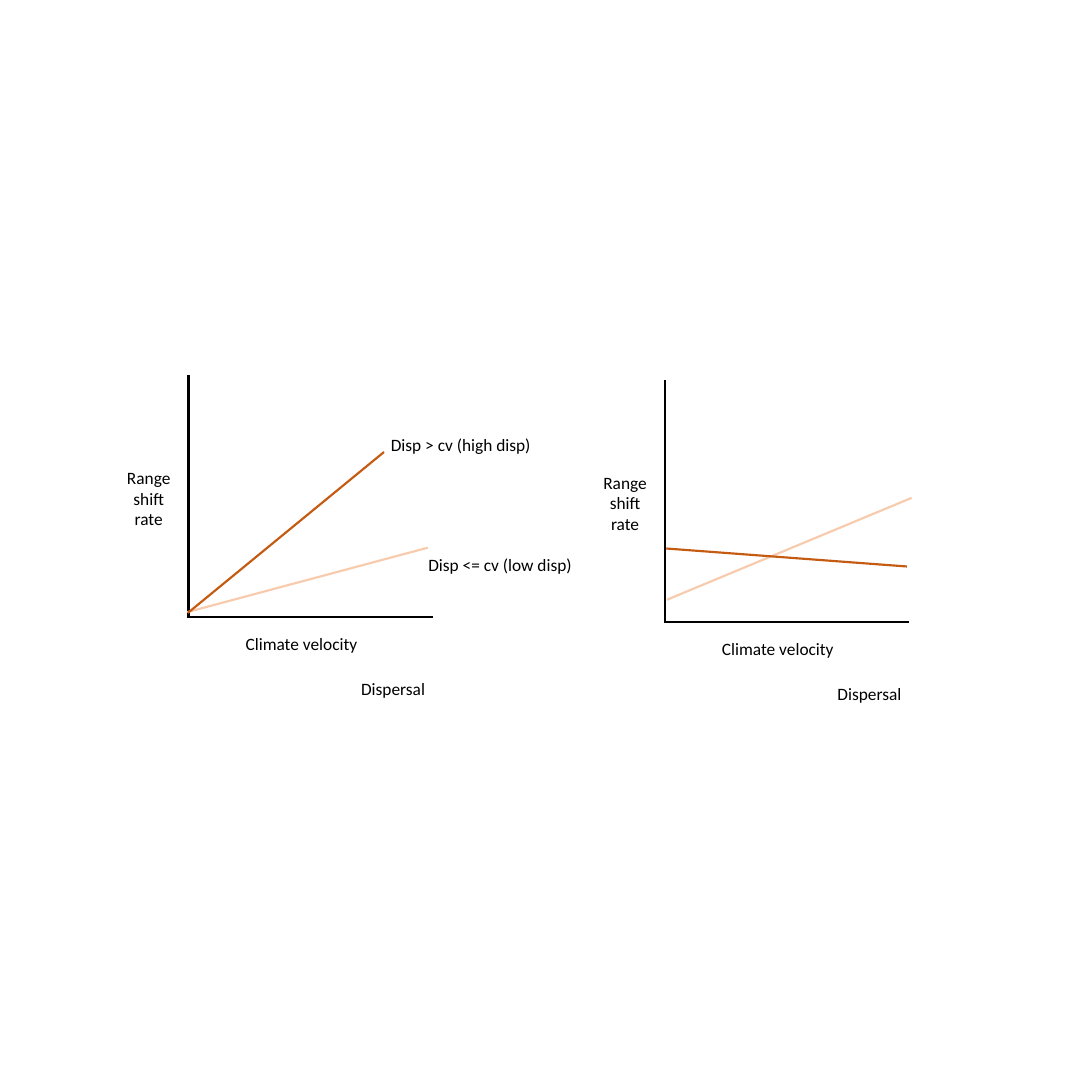
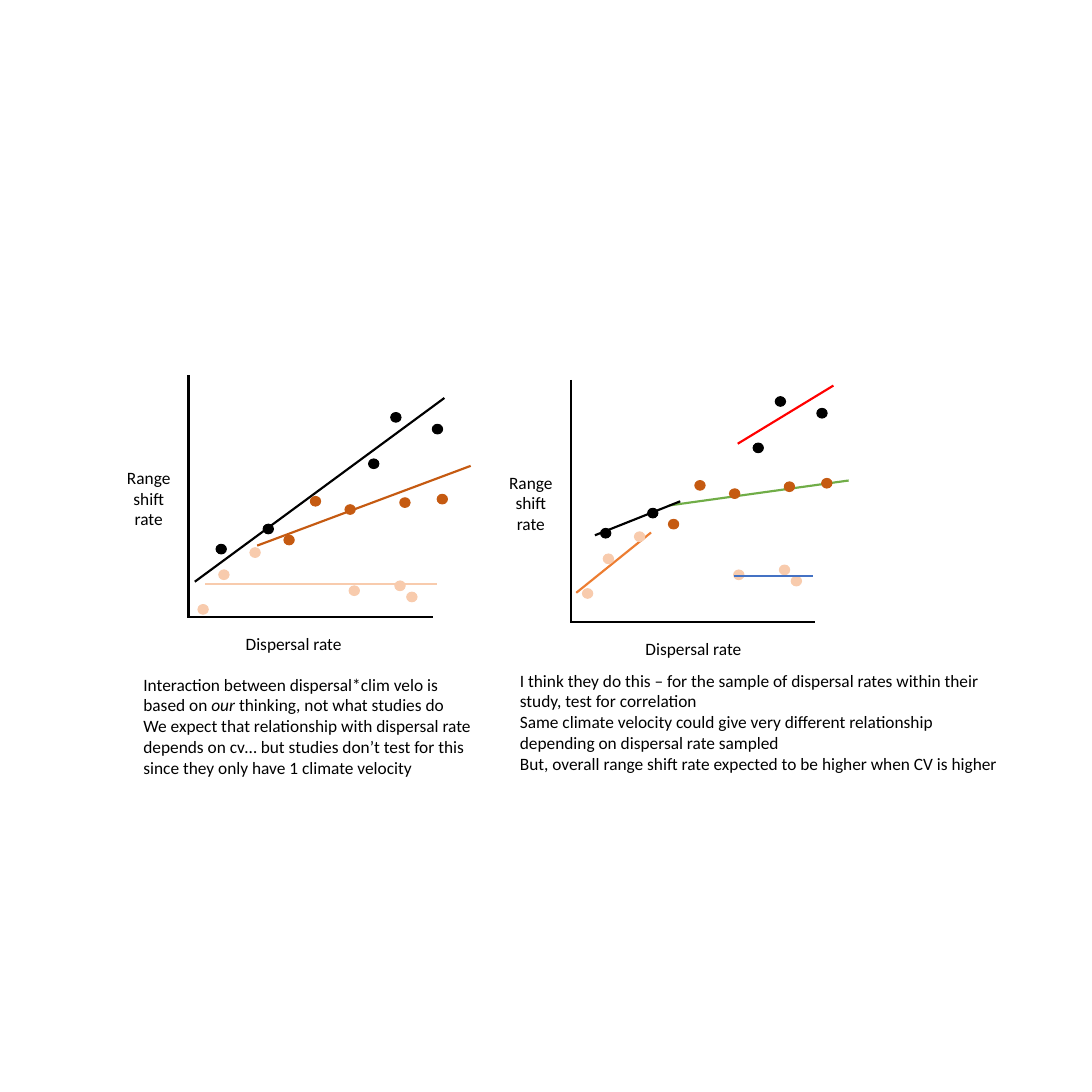
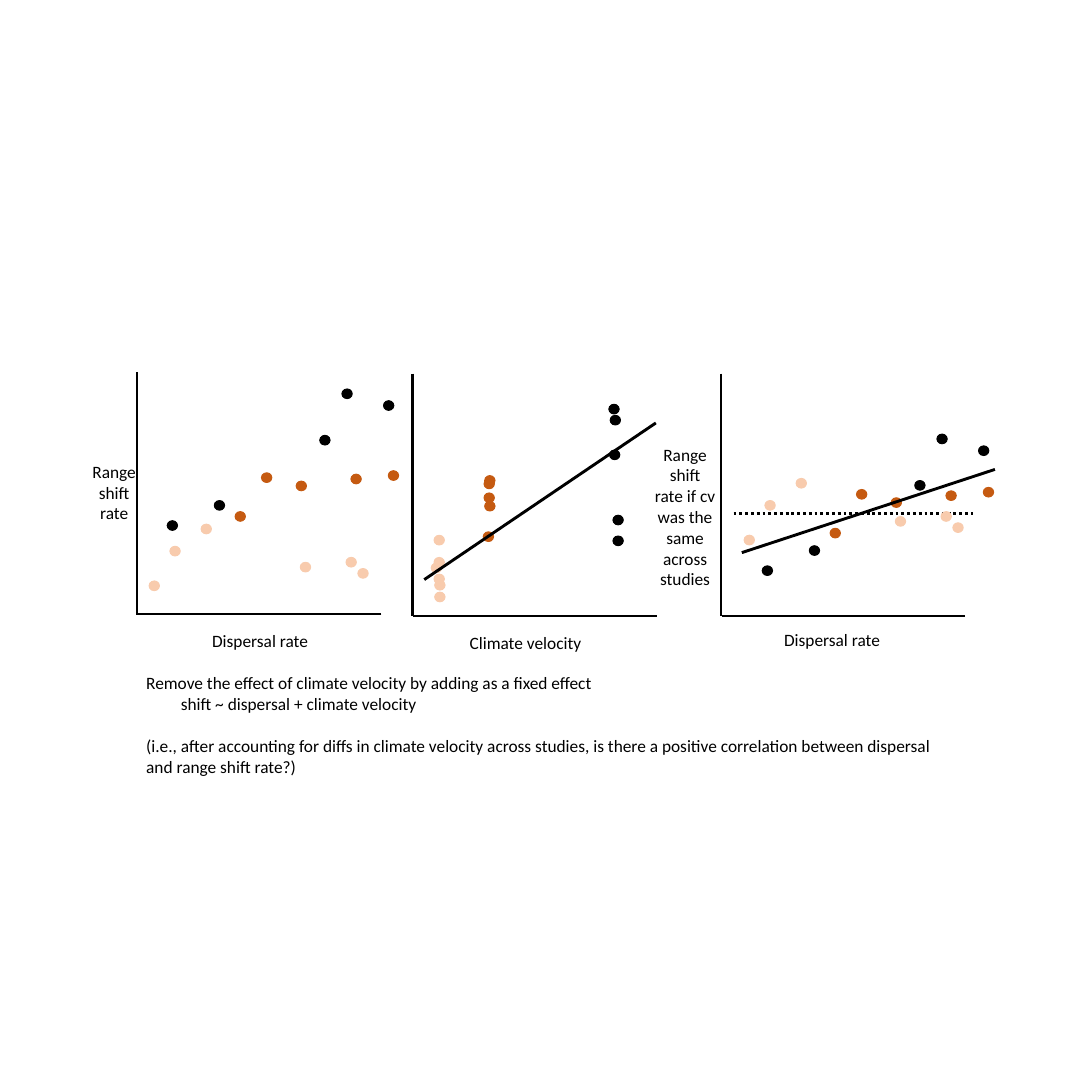
"""Build three slides of range shift diagrams."""
from dataclasses import dataclass

from lxml import etree
from pptx import Presentation
from pptx.dml.color import RGBColor
from pptx.enum import dml, shapes, text
from pptx.oxml import ns
from pptx.util import Pt

BLACK = RGBColor(0x00, 0x00, 0x00)
DARK = RGBColor(0xC5, 0x5A, 0x11)
LIGHT = RGBColor(0xF8, 0xCB, 0xAD)
ORANGE = RGBColor(0xED, 0x7D, 0x31)
GREEN = RGBColor(0x70, 0xAD, 0x47)
BLUE = RGBColor(0x44, 0x72, 0xC4)
RED = RGBColor(0xFF, 0x00, 0x00)

FONT = "Calibri"
TEXT_SIZE = 18
LINE_HEIGHT = 22
SLIDE_SIDE = 1134
AXIS_LENGTH = 252
DOT_WIDTH, DOT_HEIGHT = 10.8, 10.1
LABEL_WIDTHS = {"Climate velocity": 131.8, "Dispersal rate": 115.2}

SAMPLES_BY_DISPERSAL = {
    DARK: [(128.9, 104.4), (101.5, 144.7), (164.9, 113), (221.8, 105.8), (260.6, 102.2)],
    LIGHT: [(33.8, 180.7), (12.2, 216.7), (66.2, 157.7), (216.7, 192.2),
            (169.2, 197.3), (229, 203.8)],
    BLACK: [(212.4, 17.3), (189.4, 65.5), (255.6, 29.5), (31, 154.1), (79.9, 133.2)],
}
SAMPLES_BY_VELOCITY = {
    LIGHT: [(22.3, 190.8), (23, 226.8), (22.3, 167.8), (19.4, 196.6),
            (22.3, 208.1), (23, 214.6)],
    DARK: [(74.2, 123.8), (73.4, 164.2), (74.9, 132.5), (74.2, 109.4), (74.9, 105.8)],
    BLACK: [(203.8, 31.7), (204.5, 79.2), (205.2, 43.2), (208.1, 168.5), (208.1, 146.9)],
}


def add_text(page, left, top, width, *paras, height=28.8, wrap=True,
             align=text.PP_ALIGN.LEFT):
    """Add a text box; each paragraph is a string or a list of (text, italic) spans."""
    box = page.shapes.add_textbox(Pt(left), Pt(top), Pt(width), Pt(height))
    frame = box.text_frame
    frame.word_wrap = wrap
    frame.auto_size = text.MSO_AUTO_SIZE.SHAPE_TO_FIT_TEXT
    for index, spans in enumerate(paras):
        para = frame.add_paragraph() if index else frame.paragraphs[0]
        para.alignment = align
        for words, italic in [(spans, False)] if isinstance(spans, str) else spans:
            span = para.add_run()
            span.text = words
            span.font.name = FONT
            span.font.size = Pt(TEXT_SIZE)
            span.font.italic = italic
            span.font.color.rgb = BLACK
    return box


@dataclass
class Plot:
    """A pair of axes whose contents are placed from the top of the vertical axis."""
    page: object
    left: float
    top: float

    def line(self, start, end, color=BLACK, weight=2.25, dash=None):
        """Draw a straight line between two points of the plot."""
        x1, y1, x2, y2 = (Pt(base + shift) for base, shift in
                          zip((self.left, self.top) * 2, start + end))
        line = self.page.shapes.add_connector(shapes.MSO_CONNECTOR.STRAIGHT, x1, y1, x2, y2)
        line.line.color.rgb = color
        line.line.width = Pt(weight)
        if dash:
            line.line.dash_style = dash
        etree.SubElement(line._element.spPr, ns.qn("a:effectLst"))

    def label(self, left, top, width, *paras, **options):
        """Place a text box relative to the plot."""
        add_text(self.page, self.left + left, self.top + top, width, *paras, **options)

    def axes(self, x_label, x_left=52.2, x_top=264.6):
        """Draw both axes and name the horizontal one."""
        self.line((0, 0), (0, AXIS_LENGTH))
        self.line((253.4, 251.3), (0.7, 251.3))
        self.label(x_left, x_top, LABEL_WIDTHS[x_label], x_label, wrap=False)

    def rate_label(self, *paras, left=-72, top=91.8, width=61.2, height=72.7):
        """Name the vertical axis."""
        self.label(left, top, width, *(paras or ("Range shift rate",)), height=height,
                   align=text.PP_ALIGN.CENTER)

    def dots(self, samples, shifts=None):
        """Draw the samples, each colour moved by its own shift."""
        for color, points in samples.items():
            dx, dy = (shifts or {}).get(color, (0, 0))
            for x, y in points:
                dot = self.page.shapes.add_shape(
                    shapes.MSO_SHAPE.OVAL, Pt(self.left + x + dx), Pt(self.top + y + dy),
                    Pt(DOT_WIDTH), Pt(DOT_HEIGHT))
                dot.shadow.inherit = False
                dot.fill.solid()
                dot.fill.fore_color.rgb = color
                dot.line.color.rgb = color
                dot.line.width = Pt(1)


def build_expectations(page):
    """Show the expected effect of climate velocity in two versions."""
    separate, crossing = Plot(page, 195.8, 389.5), Plot(page, 690.5, 394.6)
    for plot in (separate, crossing):
        plot.axes("Climate velocity")
        plot.rate_label()
        plot.label(172.1, 311, 81.4, "Dispersal", wrap=False)
    separate.line((-1.4, 246.2), (248.4, 179.3), LIGHT)
    separate.line((-0.7, 247), (203, 79.9), DARK)
    separate.label(241.9, 182.9, 185, "Disp <= cv (low disp)")
    separate.label(203, 57.6, 203.8, "Disp > cv (high disp)")
    crossing.line((2.2, 228.2), (256.3, 122.4), LIGHT)
    crossing.line((1.4, 175), (251.3, 193.7), DARK)


def build_sampling(page):
    """Contrast the expected interaction with what separate studies test."""
    overall = Plot(page, 195.8, 389.5)
    overall.axes("Dispersal rate")
    overall.rate_label()
    overall.line((17.3, 216.7), (258.5, 216.7), LIGHT)
    overall.line((71.3, 177.1), (293, 94.3), DARK)
    overall.line((6.5, 214.6), (265.7, 23.8))
    overall.dots(SAMPLES_BY_DISPERSAL, dict.fromkeys((DARK, LIGHT, BLACK), (-2.5, 21.6)))
    add_text(page, 141.8, 696.2, 361.4,
             [("Interaction between dispersal*clim velo is based on ", False),
              ("our ", True), ("thinking, not what studies do", False)],
             "We expect that relationship with dispersal rate depends on cv… but studies "
             "don’t test for this since they only have 1 climate velocity", height=116.6)

    studies = Plot(page, 592.6, 394.6)
    studies.axes("Dispersal rate", x_left=70.6)
    studies.rate_label()
    studies.line((5.8, 221), (83.5, 158.4), ORANGE)
    studies.line((102.2, 130.3), (288.7, 104.4), GREEN)
    studies.dots(SAMPLES_BY_DISPERSAL)
    studies.line((169.9, 203.8), (252, 203.8), BLUE)
    studies.line((25.2, 161.3), (113.8, 126))
    studies.line((173.5, 66.2), (272.9, 5.8), RED)
    add_text(page, 532.8, 691.9, 514.1,
             "I think they do this – for the sample of dispersal rates within their study, "
             "test for correlation",
             "Same climate velocity could give very different relationship depending on "
             "dispersal rate sampled",
             "But, overall range shift rate expected to be higher when CV is higher",
             height=116.6)


def build_correction(page):
    """Show how a fixed effect removes the influence of climate velocity."""
    observed = Plot(page, 142.6, 386.6)
    observed.axes("Dispersal rate", x_left=70.6)
    observed.rate_label(left=-54.7, top=88.6)
    observed.dots(SAMPLES_BY_DISPERSAL)

    velocity = Plot(page, 428.4, 388.1)
    velocity.axes("Climate velocity")
    velocity.dots(SAMPLES_BY_VELOCITY)
    velocity.line((12.2, 213.8), (252.7, 51.1), weight=3)

    corrected = Plot(page, 748.8, 388.1)
    corrected.line((13, 145.4), (261.4, 145.4), weight=3, dash=dml.MSO_LINE.ROUND_DOT)
    corrected.axes("Dispersal rate", x_left=58.3, x_top=262.1)
    corrected.rate_label("Range shift", "rate if cv was the same across studies",
                         left=-79.9, top=69.1, width=85, height=159.8)
    corrected.dots(SAMPLES_BY_DISPERSAL,
                   {DARK: (11.7, 15.8), LIGHT: (11.7, -49), BLACK: (11.7, 45.4)})
    corrected.line((21.6, 185.8), (284.4, 99.4), weight=3)

    box = add_text(page, 144.7, 694.8, 838.8,
                   "Remove the effect of climate velocity by adding as a fixed effect",
                   "shift ~ dispersal + climate velocity",
                   "(i.e., after accounting for diffs in climate velocity across studies, is "
                   "there a positive correlation between dispersal and range shift rate?)",
                   height=116.6)
    formula, question = box.text_frame.paragraphs[1:]
    formula._p.get_or_add_pPr().set("marL", str(Pt(36)))
    question.space_before = Pt(LINE_HEIGHT)


def main():
    """Create the deck and save it."""
    deck = Presentation()
    deck.slide_width = deck.slide_height = Pt(SLIDE_SIDE)
    for build in (build_expectations, build_sampling, build_correction):
        build(deck.slides.add_slide(deck.slide_layouts[6]))
    deck.save("out.pptx")


if __name__ == "__main__":
    main()
